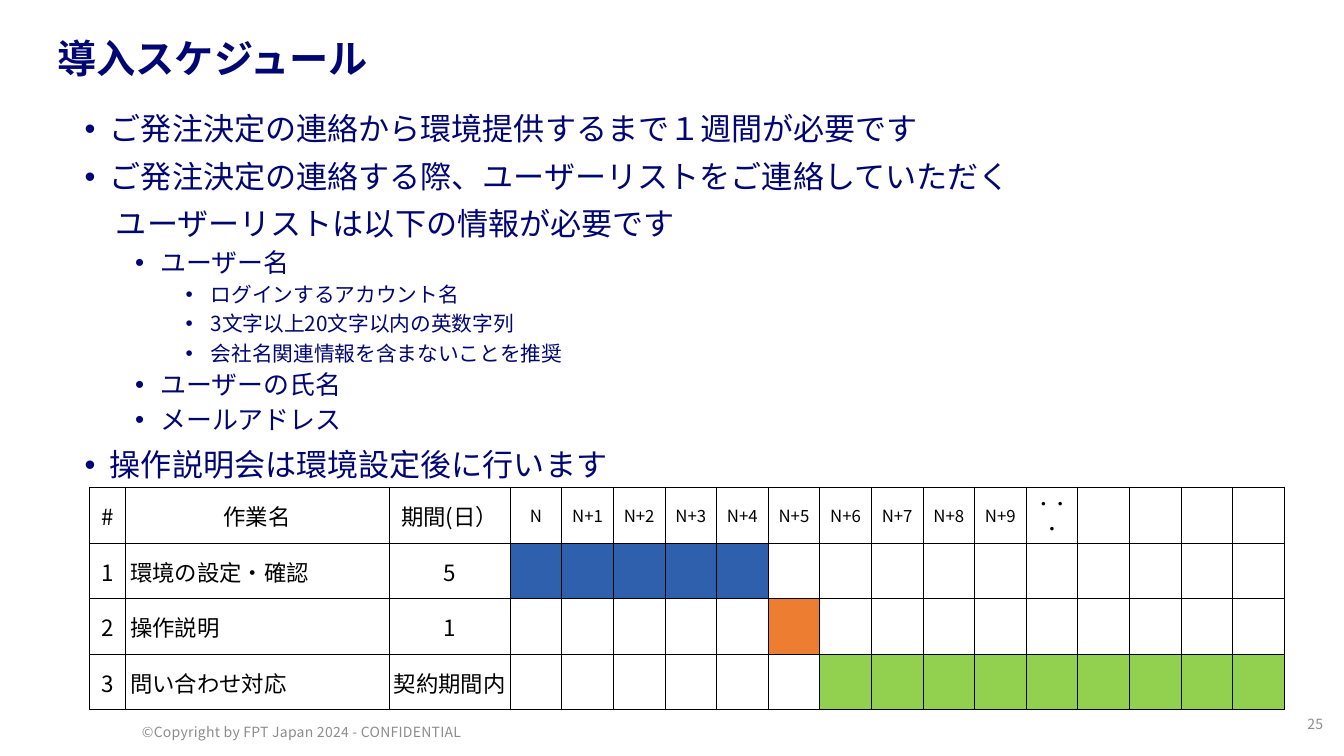
"""Build the rollout schedule slide with its requirements list and Gantt table."""
import lxml.etree
import pptx
import pptx.dml.color
import pptx.enum.text
import pptx.oxml.ns
import pptx.util

Inches = pptx.util.Inches
Pt = pptx.util.Pt
ALIGN = pptx.enum.text.PP_ALIGN
MIDDLE = pptx.enum.text.MSO_ANCHOR.MIDDLE
qn = pptx.oxml.ns.qn
FONT = "Noto Sans CJK JP"
NAVY, BLACK, GRAY, WHITE = "020673", "000000", "8C8C8C", "FFFFFF"


def rgb(color):
    return pptx.dml.color.RGBColor.from_string(color)


def write(paragraph, text, size, color, bold=False, align=ALIGN.LEFT,
          line_spacing=1.0, space_before=0, tracking=0):
    paragraph.alignment = align
    paragraph.line_spacing = line_spacing
    paragraph.space_before = Pt(space_before)
    run = paragraph.add_run()
    run.text = text
    run.font.name = FONT
    run.font.size = Pt(size)
    run.font.bold = bold
    run.font.color.rgb = rgb(color)
    properties = run._r.get_or_add_rPr()
    properties.set("spc", str(tracking))
    properties.find(qn("a:latin")).addnext(
        lxml.etree.Element(qn("a:ea"), typeface=FONT))


presentation = pptx.Presentation()
presentation.slide_width = Inches(13.33)
presentation.slide_height = Inches(7.5)
slide = presentation.slides.add_slide(presentation.slide_layouts[1])

title, body = slide.shapes.title, slide.placeholders[1]
for shape, box in ((title, (0.47, 0.3, 11.44, 0.6)),
                   (body, (0.74, 1.08, 11.65, 3.87))):
    shape.left, shape.top, shape.width, shape.height = map(Inches, box)
    shape.text_frame.auto_size = pptx.enum.text.MSO_AUTO_SIZE.NONE
    shape.text_frame.word_wrap = True
title.text_frame.vertical_anchor = MIDDLE
write(title.text_frame.paragraphs[0], "導入スケジュール", 28, NAVY,
      bold=True, line_spacing=0.9)

requirements = [
    (0, "ご発注決定の連絡から環境提供するまで１週間が必要です"),
    (0, "ご発注決定の連絡する際、ユーザーリストをご連絡していただく"),
    (None, "ユーザーリストは以下の情報が必要です"),
    (1, "ユーザー名"),
    (2, "ログインするアカウント名"),
    (2, "3文字以上20文字以内の英数字列"),
    (2, "会社名関連情報を含まないことを推奨"),
    (1, "ユーザーの氏名"),
    (1, "メールアドレス"),
    (0, "操作説明会は環境設定後に行います"),
]
level_sizes = [22.2, 18.5, 14.8]
for index, (bullet_level, text) in enumerate(requirements):
    level = bullet_level or 0
    frame = body.text_frame
    paragraph = frame.add_paragraph() if index else frame.paragraphs[0]
    paragraph.level = level
    properties = paragraph._p.get_or_add_pPr()
    if bullet_level is None:
        margin, indent = 0.31, 0
        lxml.etree.SubElement(properties, qn("a:buNone"))
    else:
        margin, indent = 0.25 + 0.5 * level, -0.25
        lxml.etree.SubElement(properties, qn("a:buFont"), typeface="Arial")
        lxml.etree.SubElement(properties, qn("a:buChar"), char="•")
    properties.set("marL", str(Inches(margin)))
    properties.set("indent", str(Inches(indent)))
    space = 0 if index == 0 else 5 if level else 10
    write(paragraph, text, level_sizes[level], NAVY,
          line_spacing=0.9, space_before=space)

DAY_COUNT = 15
day_labels = ["N"] + [f"N+{day}" for day in range(1, 10)] + ["・・・"]
rows = [["#", "作業名", "期間(日）"] + day_labels,
        ["1", "環境の設定・確認", "5"],
        ["2", "操作説明", "1"],
        ["3", "問い合わせ対応", "契約期間内"]]
bars = {1: (range(0, 5), "2E60AD"),
        2: (range(5, 6), "ED7D31"),
        3: (range(6, DAY_COUNT), "92D050")}
label_widths = [0.35, 2.62, 1.2]
day_width = (11.85 - sum(label_widths)) / DAY_COUNT
table = slide.shapes.add_table(
    len(rows), len(label_widths) + DAY_COUNT,
    Inches(0.89), Inches(4.83), Inches(11.85), Inches(2.21)).table
table.first_row = table.horz_banding = False
for column, width in zip(table.columns, label_widths + [day_width] * DAY_COUNT):
    column.width = Inches(width)
for row_index, row in enumerate(table.rows):
    row.height = Inches(0.55 if row_index else 0.56)
    days, bar_color = bars.get(row_index, ((), WHITE))
    for column_index, cell in enumerate(row.cells):
        day = column_index - len(label_widths)
        is_task = row_index > 0 and column_index == 1
        cell.vertical_anchor = MIDDLE
        cell.margin_left = Inches(0.05 if is_task else 0.01)
        cell.margin_right = cell.margin_top = Inches(0.01)
        cell.margin_bottom = 0
        for side in ("lnL", "lnR", "lnT", "lnB"):
            border = lxml.etree.SubElement(
                cell._tc.get_or_add_tcPr(), qn(f"a:{side}"), w=str(Pt(0.5)))
            fill = lxml.etree.SubElement(border, qn("a:solidFill"))
            lxml.etree.SubElement(fill, qn("a:srgbClr"), val=BLACK)
        cell.fill.solid()
        cell.fill.fore_color.rgb = rgb(bar_color if day in days else WHITE)
        if column_index < len(rows[row_index]):
            write(cell.text_frame.paragraphs[0], rows[row_index][column_index],
                  16 if day < 0 else 12, BLACK,
                  align=ALIGN.LEFT if is_task else ALIGN.CENTER)

footers = [
    ("©Copyright by FPT Japan 2024 - CONFIDENTIAL",
     (1.31, 7.13, 4.5, 0.27), ALIGN.LEFT, MIDDLE),
    ("25", (12.74, 7.05, 0.48, 0.29), ALIGN.RIGHT, pptx.enum.text.MSO_ANCHOR.TOP),
]
for text, box, align, anchor in footers:
    frame = slide.shapes.add_textbox(*map(Inches, box)).text_frame
    frame.word_wrap = True
    frame.vertical_anchor = anchor
    write(frame.paragraphs[0], text, 10, GRAY, align=align, tracking=20)

presentation.save("out.pptx")
